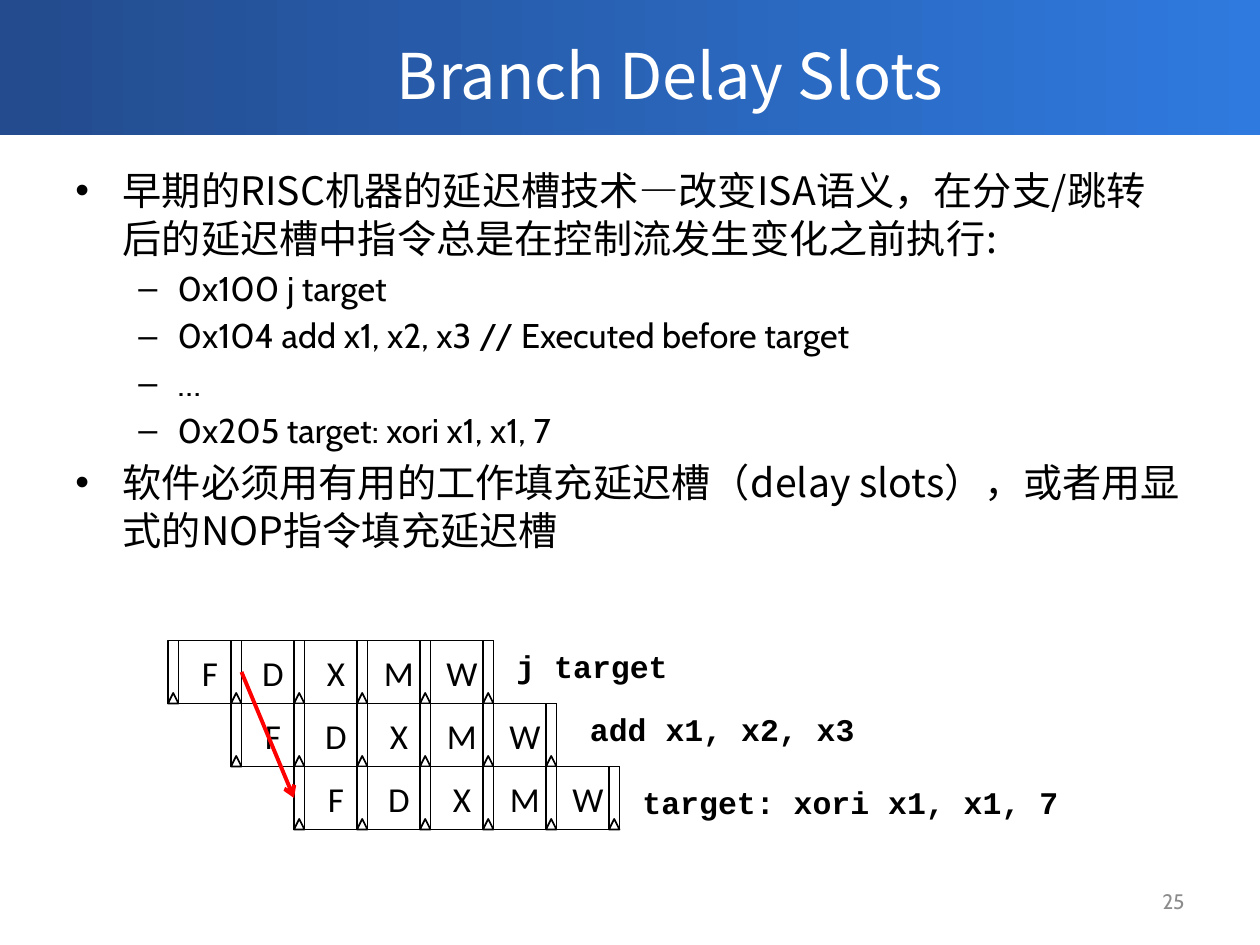
from lxml.etree import SubElement
from pptx import Presentation
from pptx.dml.color import RGBColor
from pptx.enum.shapes import MSO_CONNECTOR, MSO_SHAPE
from pptx.enum.text import MSO_ANCHOR, PP_ALIGN
from pptx.oxml.ns import qn
from pptx.util import Pt

BLACK = RGBColor(0x00, 0x00, 0x00)
WHITE = RGBColor(0xFF, 0xFF, 0xFF)
RED = RGBColor(0xFF, 0x00, 0x00)
GRAY = RGBColor(0x8C, 0x8C, 0x8C)
NAVY = RGBColor(0x23, 0x4B, 0x8D)
BLUE = RGBColor(0x2F, 0x7A, 0xDF)

CJK_FONT = "Noto Sans CJK SC"
TITLE = "Branch Delay Slots"
PAGE_NUMBER = "25"

# (level, text)
BODY = [
    (0, "早期的RISC机器的延迟槽技术—改变ISA语义，在分支/跳转后的延迟槽中指令总是在控制流发生变化之前执行:"),
    (1, "0x100 j target"),
    (1, "0x104 add x1, x2, x3 // Executed before target"),
    (1, "…"),
    (1, "0x205 target: xori x1, x1, 7"),
    (0, "软件必须用有用的工作填充延迟槽（delay slots），或者用显式的NOP指令填充延迟槽"),
]
BODY_LEVELS = [
    dict(bullet="•", margin=27, indent=-27, size=22.4, font=CJK_FONT,
         before=4.5, line_spacing=27),
    dict(bullet="–", margin=58.5, indent=-22.5, size=19.6, font="Cabin",
         before=3.6),
]

STAGES = "FDXMW"
# (instruction, label left, label top, label width)
INSTRUCTIONS = [
    ("j target", 288, 366, 101.5),
    ("add x1, x2, x3", 330, 402, 167),
    ("target: xori x1, x1, 7", 360, 444, 254),
]
PIPE_LEFT, PIPE_TOP = 96, 366
STAGE = 36   # side of a stage box, and the step between stages and rows
LATCH = 6    # width of a pipeline register


def write(para, text, *, size, font, color=BLACK, bold=False,
          align=PP_ALIGN.LEFT, before=0, line_spacing=None,
          bullet=None, margin=0, indent=0):
    para.alignment = align
    para.space_before = Pt(before)
    if line_spacing:
        para.line_spacing = Pt(line_spacing)
    if bullet:
        properties = para._p.get_or_add_pPr()
        properties.set("marL", str(Pt(margin)))
        properties.set("indent", str(Pt(indent)))
        SubElement(properties, qn("a:buFont")).set("typeface", "Arial")
        SubElement(properties, qn("a:buChar")).set("char", bullet)
    span = para.add_run()
    span.text = text
    span.font.size = Pt(size)
    span.font.name = font
    span.font.bold = bold
    span.font.color.rgb = color
    east_asian = SubElement(span._r.get_or_add_rPr(), qn("a:ea"))
    east_asian.set("typeface", CJK_FONT)


def add_text_box(page, left, top, width, height,
                 anchor=MSO_ANCHOR.TOP, wrap=True):
    box = page.shapes.add_textbox(Pt(left), Pt(top), Pt(width), Pt(height))
    box.text_frame.word_wrap = wrap
    box.text_frame.vertical_anchor = anchor
    return box.text_frame


def add_outlined(page, kind, left, top, width, height):
    shape = page.shapes.add_shape(kind, Pt(left), Pt(top), Pt(width), Pt(height))
    shape.shadow.inherit = False
    shape.fill.solid()
    shape.fill.fore_color.rgb = WHITE
    shape.line.color.rgb = BLACK
    shape.line.width = Pt(1)
    return shape


def add_latch(page, left, top):
    """Draw a pipeline register with its clock mark; return the register."""
    latch = add_outlined(page, MSO_SHAPE.RECTANGLE, left, top, LATCH, STAGE)
    add_outlined(page, MSO_SHAPE.ISOSCELES_TRIANGLE,
                 left, top + STAGE - LATCH, LATCH, LATCH)
    return latch


def add_stage(page, name, left, top):
    box = add_outlined(page, MSO_SHAPE.RECTANGLE, left, top, STAGE, STAGE)
    frame = box.text_frame
    frame.margin_left = frame.margin_right = 0
    frame.margin_top = frame.margin_bottom = 0
    frame.vertical_anchor = MSO_ANCHOR.MIDDLE
    write(frame.paragraphs[0], name, size=20, font="Calibri",
          align=PP_ALIGN.CENTER)
    return box


def add_pipeline_row(page, left, top):
    """Draw the five stages between registers; return both lists."""
    latches, boxes = [add_latch(page, left, top)], []
    for index, name in enumerate(STAGES):
        stage_left = left + index * STAGE
        boxes.append(add_stage(page, name, stage_left + LATCH, top))
        latches.append(add_latch(page, stage_left + STAGE, top))
    return latches, boxes


def add_header(page):
    bar = page.shapes.add_shape(MSO_SHAPE.RECTANGLE, 0, 0, Pt(720), Pt(77))
    bar.shadow.inherit = False
    bar.line.fill.background()
    bar.fill.gradient()
    bar.fill.gradient_angle = 0
    for stop, color in zip(bar.fill.gradient_stops, (NAVY, BLUE)):
        stop.color.rgb = color
    title = add_text_box(page, 81.5, 11.5, 602.5, 62, MSO_ANCHOR.MIDDLE)
    write(title.paragraphs[0], TITLE, size=36, font=CJK_FONT, color=WHITE,
          align=PP_ALIGN.CENTER)


def add_body(page):
    frame = add_text_box(page, 36, 91.5, 648, 255.5)
    for index, (level, text) in enumerate(BODY):
        para = frame.add_paragraph() if index else frame.paragraphs[0]
        para.level = level
        write(para, text, **BODY_LEVELS[level])


def add_branch_arrow(page, decode, target_latch):
    arrow = page.shapes.add_connector(MSO_CONNECTOR.STRAIGHT, 0, 0, 0, 0)
    arrow.begin_connect(decode, 1)
    arrow.end_connect(target_latch, 1)
    arrow.line.color.rgb = RED
    arrow.line.width = Pt(2.25)
    SubElement(arrow.line._get_or_add_ln(), qn("a:tailEnd")).set("type", "arrow")
    SubElement(arrow._element.spPr, qn("a:effectLst"))


def add_pipeline(page):
    rows = []
    for index, (text, left, top, width) in enumerate(INSTRUCTIONS):
        offset = index * STAGE
        rows.append(add_pipeline_row(page, PIPE_LEFT + offset, PIPE_TOP + offset))
        label = add_text_box(page, left, top, width, 29, wrap=False)
        write(label.paragraphs[0], text, size=18, font="Courier New", bold=True)
    first_boxes, target_latches = rows[0][1], rows[-1][0]
    add_branch_arrow(page, first_boxes[STAGES.index("D")], target_latches[0])


def main():
    deck = Presentation()
    deck.slide_width, deck.slide_height = Pt(720), Pt(540)
    page = deck.slides.add_slide(deck.slide_layouts[6])
    add_header(page)
    add_body(page)
    number = add_text_box(page, 516, 500.5, 168, 29, MSO_ANCHOR.MIDDLE)
    write(number.paragraphs[0], PAGE_NUMBER, size=12, font="Cabin", color=GRAY,
          align=PP_ALIGN.RIGHT)
    add_pipeline(page)
    deck.save("out.pptx")


if __name__ == "__main__":
    main()
